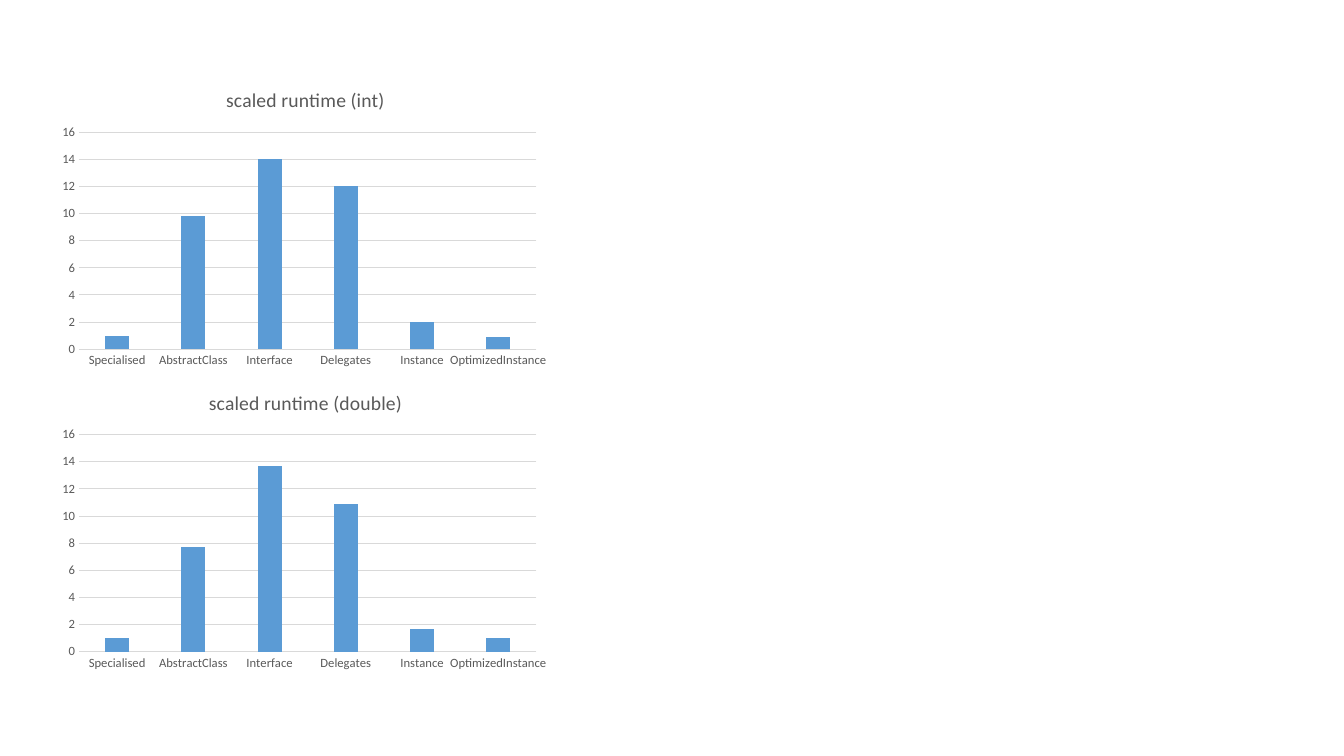
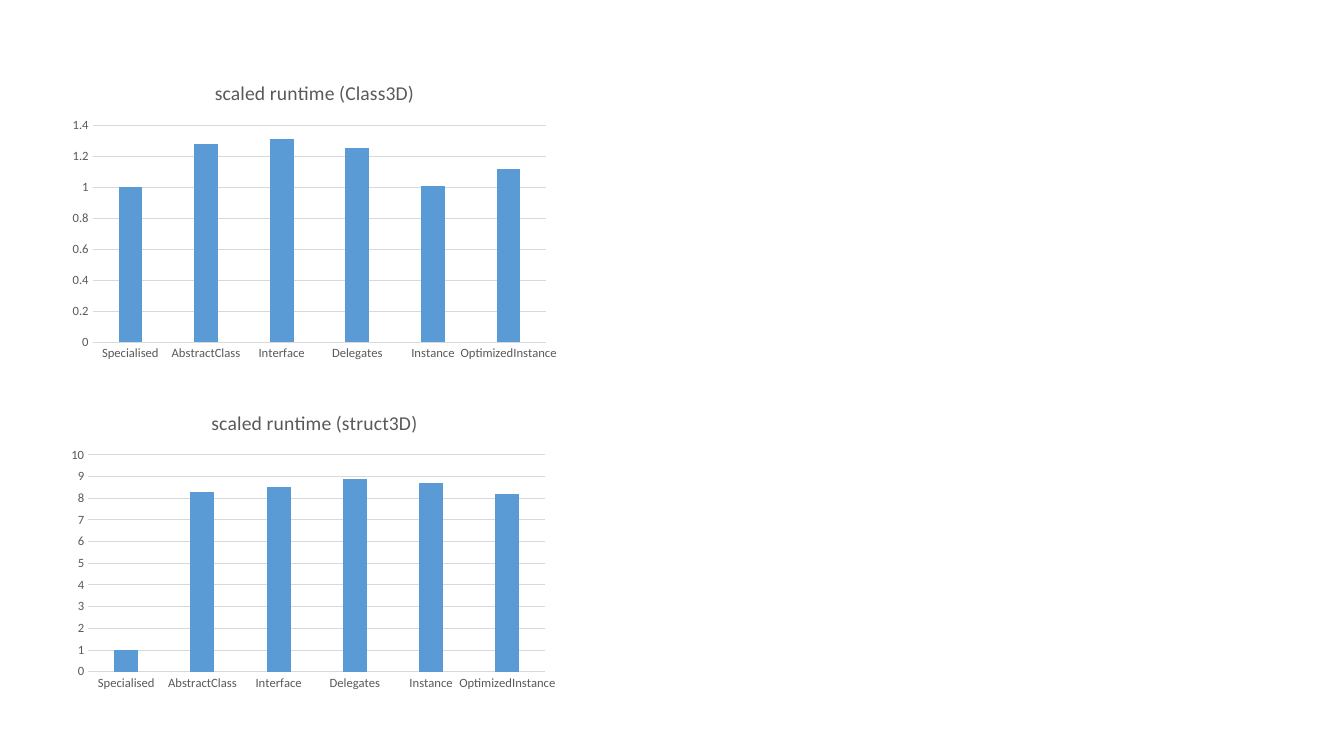
from dataclasses import dataclass

from pptx import Presentation
from pptx.chart.data import CategoryChartData
from pptx.dml.color import RGBColor
from pptx.enum.chart import XL_CHART_TYPE, XL_TICK_MARK
from pptx.util import Inches, Pt

COLUMNS = XL_CHART_TYPE.COLUMN_CLUSTERED
NO_TICKS = XL_TICK_MARK.NONE

FONT = "Calibri"
BAR_COLOR = "5B9BD5"
TEXT_COLOR = "595959"
RULE_COLOR = "D9D9D9"
CHART_WIDTH, CHART_HEIGHT = 5, 3
VARIANTS = ("Specialised", "AbstractClass", "Interface", "Delegates",
            "Instance", "OptimizedInstance")


@dataclass(frozen=True)
class Benchmark:
    data_type: str
    left: float
    top: float
    runtimes: tuple[float, ...]


SLIDES = (
    (
        Benchmark("int", 0.53, 0.71, (1, 9.8, 14, 12, 2, 0.9)),
        Benchmark("double", 0.53, 3.71, (1, 7.7, 13.7, 10.9, 1.7, 1)),
    ),
    (
        Benchmark("struct3D", 0.62, 3.91, (1, 8.3, 8.5, 8.9, 8.7, 8.2)),
        Benchmark("Class3D", 0.62, 0.64, (1, 1.28, 1.31, 1.25, 1.01, 1.12)),
    ),
)


def rgb(hex_color: str) -> RGBColor:
    return RGBColor.from_string(hex_color)


def style_font(font, size: float, color: str = TEXT_COLOR) -> None:
    font.name = FONT
    font.size = Pt(size)
    font.bold = False
    font.color.rgb = rgb(color)


def style_rule(line) -> None:
    line.color.rgb = rgb(RULE_COLOR)
    line.width = Pt(0.75)


def style_axes(chart) -> None:
    for axis in (chart.category_axis, chart.value_axis):
        axis.major_tick_mark = NO_TICKS
        axis.minor_tick_mark = NO_TICKS
        style_font(axis.tick_labels.font, 9)
    style_rule(chart.category_axis.format.line)
    chart.value_axis.format.line.fill.background()
    chart.value_axis.has_major_gridlines = True
    style_rule(chart.value_axis.major_gridlines.format.line)


def add_benchmark(slide, benchmark: Benchmark) -> None:
    data = CategoryChartData()
    data.categories = VARIANTS
    data.add_series("Series 1", benchmark.runtimes)
    chart = slide.shapes.add_chart(
        COLUMNS, Inches(benchmark.left), Inches(benchmark.top),
        Inches(CHART_WIDTH), Inches(CHART_HEIGHT), data).chart
    style_font(chart.font, 10, "000000")
    chart.has_legend = False

    chart.has_title = True
    heading = chart.chart_title.text_frame
    heading.text = f"scaled runtime ({benchmark.data_type})"
    style_font(heading.paragraphs[0].runs[0].font, 14)

    style_axes(chart)
    plot = chart.plots[0]
    plot.vary_by_categories = False
    plot.gap_width = 219
    plot.overlap = -27
    bar_fill = plot.series[0].format.fill
    bar_fill.solid()
    bar_fill.fore_color.rgb = rgb(BAR_COLOR)


def main() -> None:
    deck = Presentation()
    deck.slide_width = Inches(13.33)
    deck.slide_height = Inches(7.5)
    blank_layout = deck.slide_layouts[6]
    for benchmarks in SLIDES:
        slide = deck.slides.add_slide(blank_layout)
        for benchmark in benchmarks:
            add_benchmark(slide, benchmark)
    deck.save("out.pptx")


if __name__ == "__main__":
    main()
